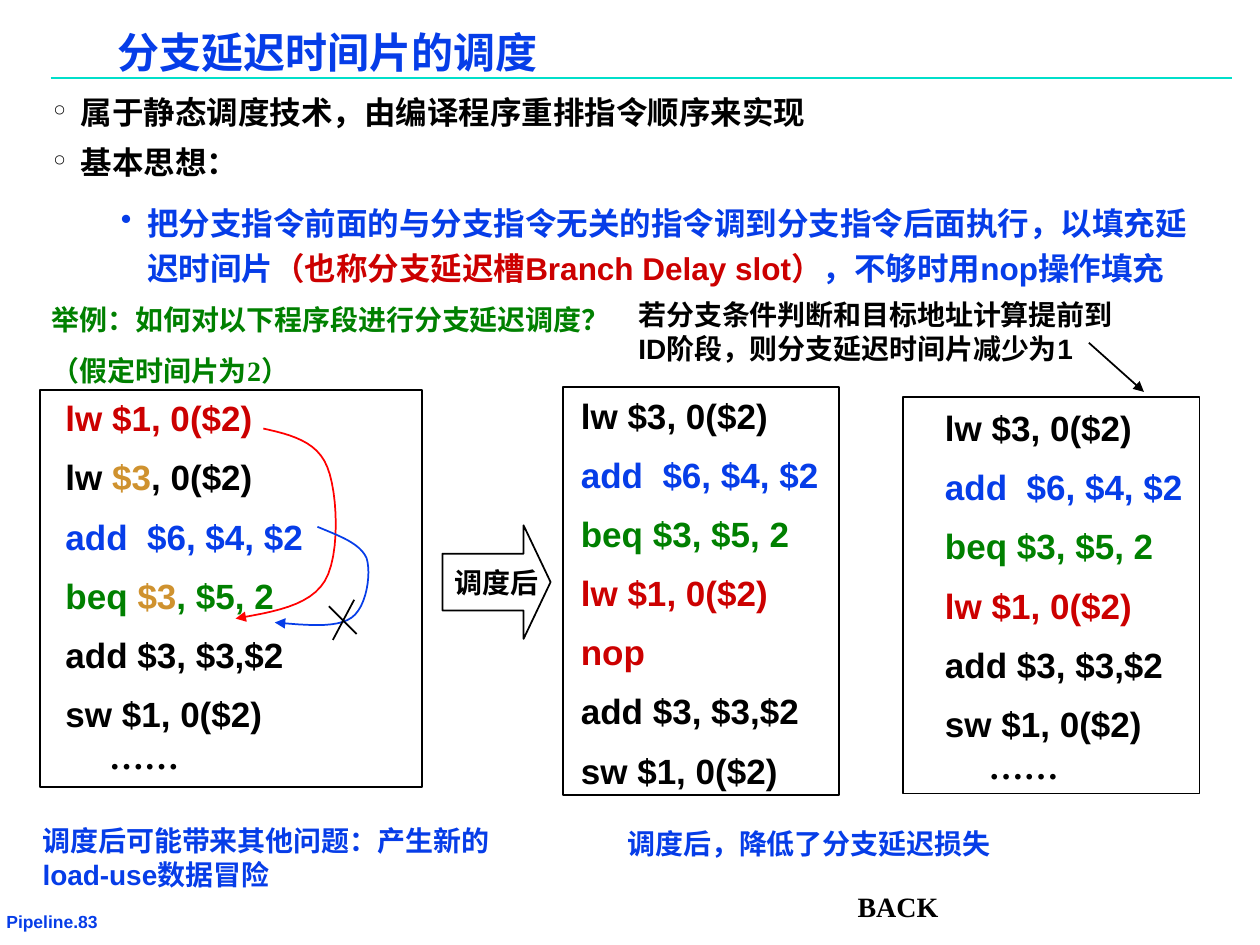
from dataclasses import dataclass

import lxml.etree
import pptx
import pptx.dml.color
import pptx.enum.shapes
import pptx.enum.text
import pptx.oxml.ns
import pptx.util

Cm = pptx.util.Cm
Pt = pptx.util.Pt
Shapes = pptx.enum.shapes.MSO_SHAPE
Point = tuple[float, float]
Area = tuple[float, float, float, float]


@dataclass(frozen=True)
class Theme:
    blue: str = "063DE8"
    red: str = "CC0000"
    green: str = "008000"
    gold: str = "CF922F"
    black: str = "000000"
    teal: str = "00DFCA"
    bright_red: str = "FF0000"
    sans: str = "Arial"
    serif: str = "Times New Roman"
    title: int = 24
    code: int = 20
    body: int = 18
    note: int = 16
    footer: int = 10


THEME = Theme()


@dataclass(frozen=True)
class Span:
    text: str
    color: str = THEME.black
    font: str = THEME.sans


@dataclass(frozen=True)
class Para:
    spans: tuple[Span, ...]
    before: float = 0
    spacing: float = 1.0
    left: float = 0
    hanging: float = 0
    bullet: str = ""


@dataclass(frozen=True)
class TextBlock:
    area: Area
    paras: tuple[Para, ...]
    size: int = THEME.note
    inset: Point = (0.25, 0.13)
    wrap: bool = True


@dataclass(frozen=True)
class CodePanel:
    text_area: Area
    frame_area: Area
    lines: tuple[tuple[Span, ...], ...]
    ellipsis: bool = True


@dataclass(frozen=True)
class Stroke:
    start: Point
    end: Point
    color: str = THEME.black
    arrow: bool = False


@dataclass(frozen=True)
class Curve:
    points: tuple[Point, ...]
    color: str


def rgb(color: str) -> pptx.dml.color.RGBColor:
    return pptx.dml.color.RGBColor.from_string(color)


def add_node(parent, tag: str, **attributes: str):
    return lxml.etree.SubElement(parent, pptx.oxml.ns.qn(tag), attributes)


def style_line(shape, color: str, arrow: bool = False) -> None:
    shape.line.color.rgb = rgb(color)
    shape.line.width = Pt(1)
    if arrow:
        add_node(shape.line._get_or_add_ln(), "a:tailEnd", type="triangle")


def fill_text(box, block: TextBlock) -> None:
    frame = box.text_frame
    frame.word_wrap = block.wrap
    frame.auto_size = pptx.enum.text.MSO_AUTO_SIZE.NONE
    frame.margin_left = frame.margin_right = Cm(block.inset[0])
    frame.margin_top = frame.margin_bottom = Cm(block.inset[1])
    for index, item in enumerate(block.paras):
        para = frame.add_paragraph() if index else frame.paragraphs[0]
        para.alignment = pptx.enum.text.PP_ALIGN.LEFT
        para.line_spacing = item.spacing
        para.space_before = Pt(item.before if index else 0)
        properties = para._p.get_or_add_pPr()
        properties.set("marL", str(Cm(item.left)))
        properties.set("indent", str(-Cm(item.hanging)))
        if item.bullet:
            color = add_node(properties, "a:buClr")
            add_node(color, "a:srgbClr", val=item.spans[0].color)
            add_node(properties, "a:buChar", char=item.bullet)
        for span in item.spans:
            run = para.add_run()
            run.text = span.text
            run.font.name = span.font
            run.font.size = Pt(block.size)
            run.font.bold = True
            run.font.color.rgb = rgb(span.color)


def draw_text(page, block: TextBlock) -> None:
    fill_text(page.shapes.add_textbox(*map(Cm, block.area)), block)


def draw_title(page, block: TextBlock) -> None:
    title = page.shapes.title
    title.left, title.top, title.width, title.height = map(Cm, block.area)
    title.text_frame.vertical_anchor = pptx.enum.text.MSO_ANCHOR.MIDDLE
    fill_text(title, block)


def draw_outline(page, kind, area: Area):
    shape = page.shapes.add_shape(kind, *map(Cm, area))
    shape.shadow.inherit = False
    shape.fill.background()
    style_line(shape, THEME.black)
    return shape


def draw_panel(page, panel: CodePanel) -> None:
    paras = tuple(Para(spans, before=5, spacing=1.2) for spans in panel.lines)
    if panel.ellipsis:
        paras += (Para((Span("……", font=THEME.serif),), left=0.88),)
    draw_text(page, TextBlock(panel.text_area, paras, THEME.code))
    draw_outline(page, Shapes.RECTANGLE, panel.frame_area)


def draw_stroke(page, stroke: Stroke) -> None:
    line = page.shapes.add_connector(
        pptx.enum.shapes.MSO_CONNECTOR.STRAIGHT, *map(Cm, stroke.start + stroke.end))
    style_line(line, stroke.color, stroke.arrow)
    add_node(line._element.spPr, "a:effectLst")


def draw_curve(page, curve: Curve, steps: int = 12) -> None:
    vertices = []
    for first in range(0, len(curve.points) - 1, 3):
        controls = curve.points[first:first + 4]
        for step in range(1, steps + 1):
            t = step / steps
            weights = ((1 - t) ** 3, 3 * t * (1 - t) ** 2, 3 * t * t * (1 - t), t ** 3)
            vertices.append(tuple(
                Cm(sum(w * point[axis] for w, point in zip(weights, controls)))
                for axis in (0, 1)))
    builder = page.shapes.build_freeform(*map(Cm, curve.points[0]))
    builder.add_line_segments(vertices, close=False)
    shape = builder.convert_to_shape()
    shape.shadow.inherit = False
    shape.fill.background()
    style_line(shape, curve.color, arrow=True)


LW_1 = (Span("lw $1, 0($2)", THEME.red),)
LW_3 = (Span("lw $3, 0($2)"),)
ADD_6 = (Span("add  $6, $4, $2", THEME.blue),)
BEQ = (Span("beq $3, $5, 2", THEME.green),)
NOP = (Span("nop", THEME.red),)
TAIL = ((Span("add $3, $3,$2"),), (Span("sw $1, 0($2)"),))
LW_3_MARKED = (Span("lw "), Span("$3", THEME.gold), Span(", 0($2)"))
BEQ_MARKED = (Span("beq ", THEME.green), Span("$3", THEME.gold), Span(", $5, 2", THEME.green))

TIGHT = (0.18, 0.08)
TITLE = TextBlock((2.18, 0.61, 19.08, 1.02),
                  (Para((Span("分支延迟时间片的调度", THEME.blue),), spacing=0.87),),
                  THEME.title, TIGHT)
TEXTS = (
    TextBlock((-0.05, 18.29, 3.51, 0.56), (Para((Span("Pipeline.83", THEME.blue),)),),
              THEME.footer, TIGHT, wrap=False),
    TextBlock((0.89, 1.8, 23.42, 4.04), (
        Para((Span("属于静态调度技术，由编译程序重排指令顺序来实现"),),
             left=0.56, hanging=0.56, bullet="°"),
        Para((Span("基本思想："),), before=6.8, left=0.56, hanging=0.56, bullet="°"),
        Para((Span("把分支指令前面的与分支指令无关的指令调到分支指令后面执行，以填充延迟时间片", THEME.blue),
              Span("（也称分支延迟槽Branch Delay slot）", THEME.red),
              Span("，不够时用nop操作填充", THEME.blue)),
             before=9, spacing=1.2, left=1.9, hanging=0.53, bullet="•"),
    ), THEME.body, TIGHT),
    TextBlock((0.79, 5.97, 12.04, 1.96), (
        Para((Span("举例：如何对以下程序段进行分支延迟调度？", THEME.green, THEME.serif),)),
        Para((Span("（假定时间片为2）", THEME.green, THEME.serif),), before=10))),
    TextBlock((12.4, 16.54, 10.52, 0.94),
              (Para((Span("调度后，降低了分支延迟损失", THEME.blue, THEME.serif),)),)),
    TextBlock((0.61, 16.48, 10.52, 1.63), (Para((
        Span("调度后可能带来其他问题：产生新的", THEME.blue, THEME.serif),
        Span("load-use数据", THEME.blue),
        Span("冒险", THEME.blue, THEME.serif))),)),
    TextBlock((17.04, 17.81, 2.46, 0.94), (Para((Span("BACK", font=THEME.serif),)),)),
    TextBlock((12.62, 5.87, 10.44, 1.63),
              (Para((Span("若分支条件判断和目标地址计算提前到ID阶段，则分支延迟时间片减少为1"),)),)),
    TextBlock((8.92, 11.28, 2.44, 0.94), (Para((Span("调度后", font=THEME.serif),)),)),
)
PANELS = (
    CodePanel((18.8, 7.9, 6.6, 9.37), (18.21, 8, 5.97, 8), (LW_3, ADD_6, BEQ, LW_1, *TAIL)),
    CodePanel((1.07, 7.7, 5.54, 9.37), (0.81, 7.87, 7.7, 8),
              (LW_1, LW_3_MARKED, ADD_6, BEQ_MARKED, *TAIL)),
    CodePanel((11.46, 7.65, 5.89, 8.43), (11.35, 7.8, 5.56, 8.23),
              (LW_3, ADD_6, BEQ, LW_1, NOP, *TAIL), ellipsis=False),
)
CURVES = (
    Curve(((5.31, 8.64), (5.84, 8.76), (6.4, 8.89), (6.6, 9.42), (6.81, 9.93), (6.86, 11.2),
           (6.55, 11.71), (6.25, 12.22), (5.49, 12.34), (4.75, 12.47)), THEME.bright_red),
    Curve(((6.4, 10.62), (6.83, 10.8), (7.26, 10.95), (7.39, 11.25), (7.49, 11.56), (7.39, 12.24),
           (7.09, 12.45), (6.78, 12.67), (6.17, 12.6), (5.54, 12.55)), THEME.blue),
)
STROKES = (
    Stroke((1.02, 1.57), (24.84, 1.57), THEME.teal),
    Stroke((7.14, 12.09), (6.71, 12.9)),
    Stroke((6.63, 12.22), (7.19, 12.78)),
    Stroke((21.95, 6.91), (23.06, 7.9), arrow=True),
)


def main() -> None:
    deck = pptx.Presentation()
    deck.slide_width, deck.slide_height = Cm(25.4), Cm(19.05)
    page = deck.slides.add_slide(deck.slide_layouts[5])
    draw_title(page, TITLE)
    for panel in PANELS:
        draw_panel(page, panel)
    arrow = draw_outline(page, Shapes.RIGHT_ARROW, (8.92, 10.59, 2.18, 2.29))
    arrow.adjustments[0], arrow.adjustments[1] = 0.5, 0.25
    for draw, items in ((draw_text, TEXTS), (draw_curve, CURVES), (draw_stroke, STROKES)):
        for item in items:
            draw(page, item)
    deck.save("out.pptx")


if __name__ == "__main__":
    main()
